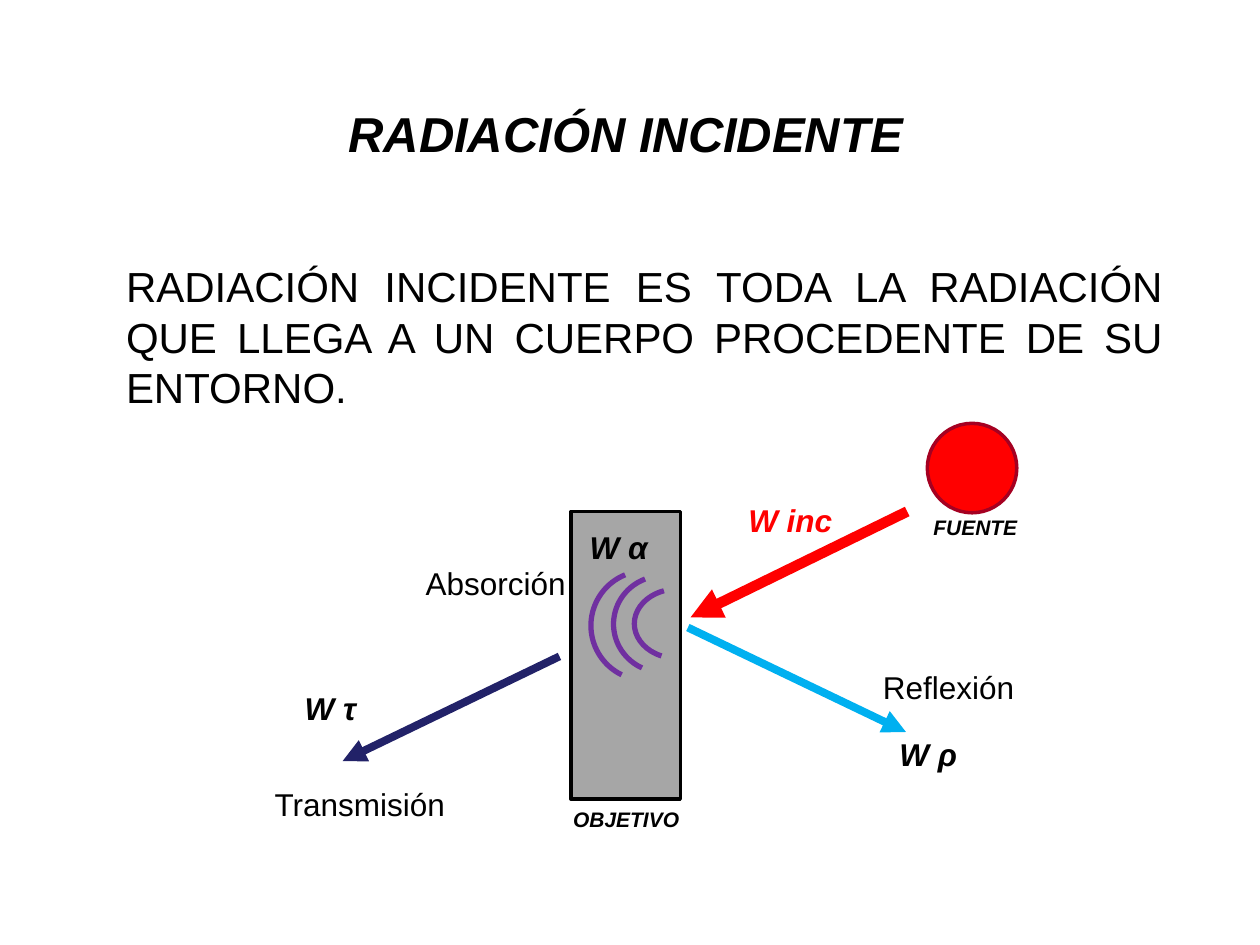
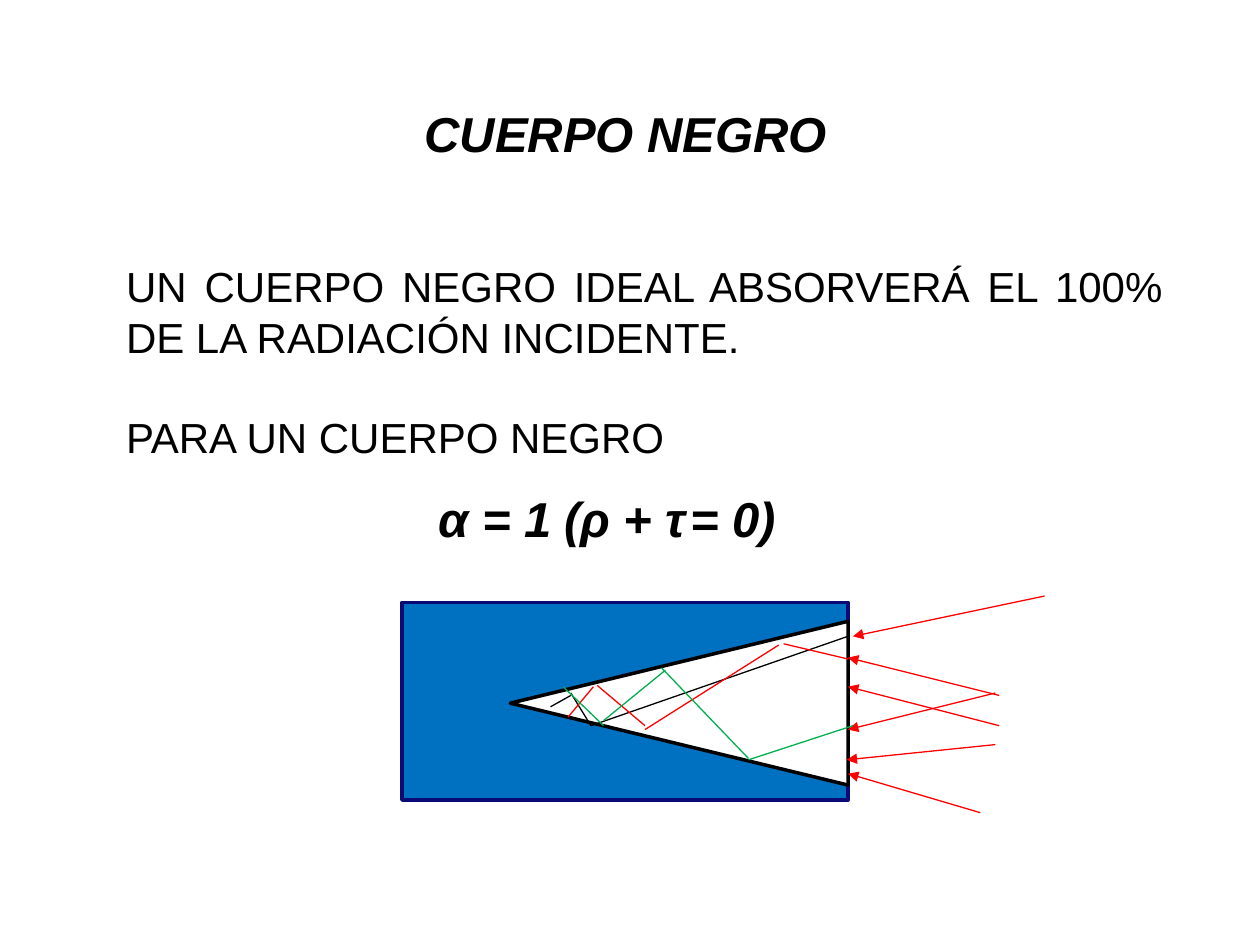
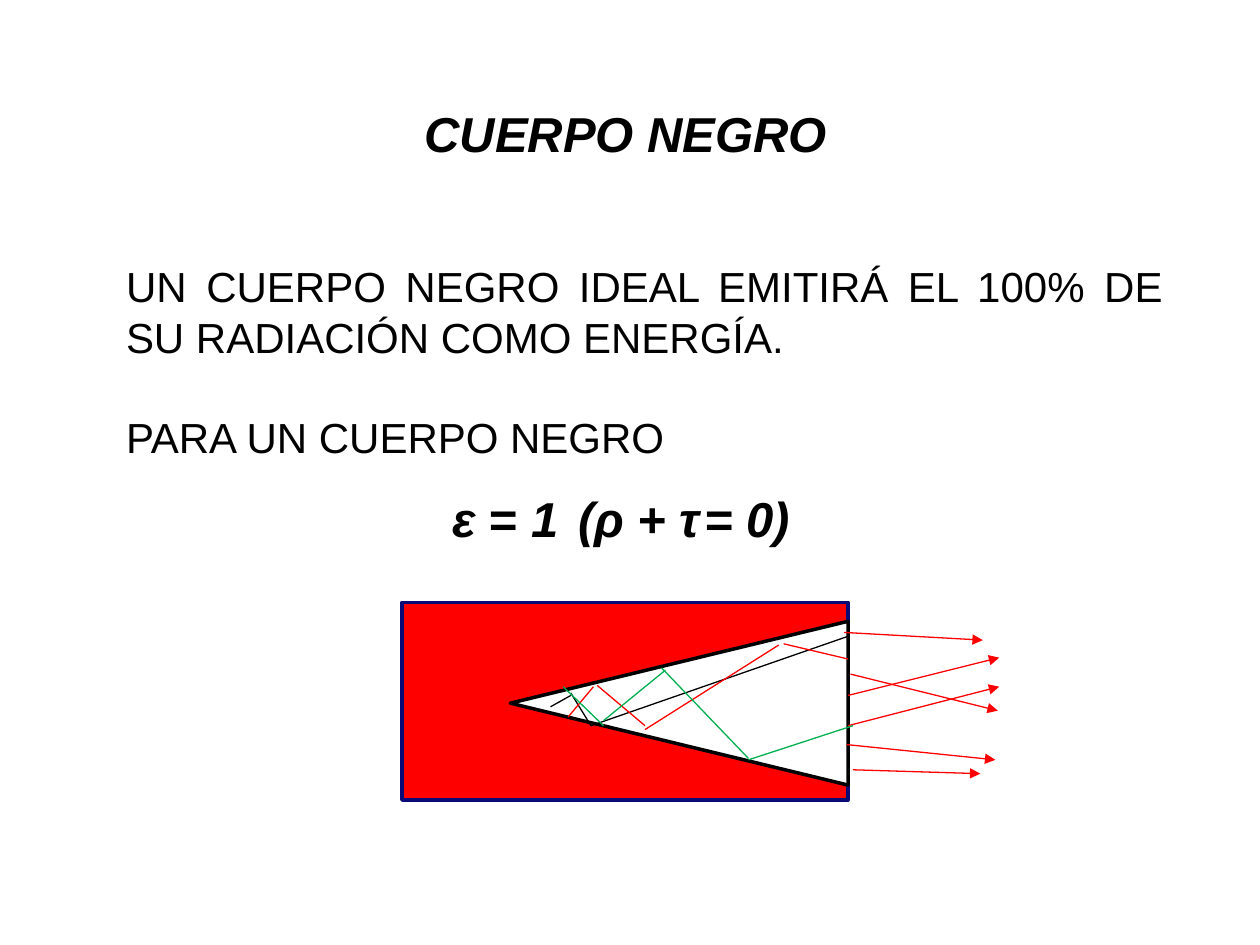
import pptx
import pptx.util
import pptx.dml.color
import pptx.enum.shapes
import pptx.enum.text
import pptx.oxml.ns
import lxml.etree

Pt = pptx.util.Pt
SHAPES = pptx.enum.shapes.MSO_SHAPE
ALIGN = pptx.enum.text.PP_ALIGN
qn = pptx.oxml.ns.qn

FONT = "Arial"
COLORS = {
    "black": "000000", "white": "FFFFFF", "gray": "A6A6A6", "red": "FF0000",
    "dark red": "A50021", "navy": "222268", "sky": "00B0F0", "purple": "7030A0",
    "blue": "0070C0", "frame": "0A0A76", "green": "00B050",
}
COLORS = {name: pptx.dml.color.RGBColor.from_string(value) for name, value in COLORS.items()}


def write(box, area, texts, size, strong=False, color="black", align=ALIGN.LEFT, tabs=()):
    """Place a text holder and fill it, one paragraph per text."""
    box.left, box.top, box.width, box.height = map(Pt, area)
    frame = box.text_frame
    frame.word_wrap = True
    frame.auto_size = pptx.enum.text.MSO_AUTO_SIZE.NONE
    frame.vertical_anchor = pptx.enum.text.MSO_ANCHOR.TOP
    frame.text = "\n".join(texts)
    for index, para in enumerate(frame.paragraphs):
        properties = para._p.get_or_add_pPr()
        properties.set("marL", "0")
        properties.set("indent", "0")
        para.alignment = align
        para.line_spacing = Pt(1.2 * size)
        para.space_before = Pt(1.2 * size if index else 0)
        lxml.etree.SubElement(properties, qn("a:buNone"))
        if tabs:
            stops = lxml.etree.SubElement(properties, qn("a:tabLst"))
            for position in tabs:
                lxml.etree.SubElement(stops, qn("a:tab"), pos=str(int(Pt(position))), algn="l")
        para.font.name = FONT
        para.font.size = Pt(size)
        para.font.bold = para.font.italic = strong
        para.font.color.rgb = COLORS[color]


def draw_line(page, ends, color, width=0.75, arrow=False):
    """Draw a straight line, with an arrowhead at its end if asked."""
    line = page.shapes.add_connector(pptx.enum.shapes.MSO_CONNECTOR.STRAIGHT, *map(Pt, ends))
    line.line.color.rgb = COLORS[color]
    line.line.width = Pt(width)
    if arrow:
        lxml.etree.SubElement(line.line._get_or_add_ln(), qn("a:tailEnd"), type="triangle")
    lxml.etree.SubElement(line._element.spPr, qn("a:effectLst"))


deck = pptx.Presentation()
deck.slide_width, deck.slide_height = Pt(720), Pt(540)

# Titles and body text of all slides
contents = [
    ("RADIACIÓN INCIDENTE",
     ["RADIACIÓN INCIDENTE ES TODA LA RADIACIÓN QUE LLEGA A UN CUERPO PROCEDENTE DE SU ENTORNO."]),
    ("CUERPO NEGRO",
     ["UN CUERPO NEGRO IDEAL ABSORVERÁ EL 100% DE LA RADIACIÓN INCIDENTE.",
      "PARA UN CUERPO NEGRO"]),
    ("CUERPO NEGRO",
     ["UN CUERPO NEGRO IDEAL EMITIRÁ EL 100% DE SU RADIACIÓN COMO ENERGÍA.",
      "PARA UN CUERPO NEGRO"]),
]
pages = []
for title, texts in contents:
    page = deck.slides.add_slide(deck.slide_layouts[1])
    write(page.shapes.title, (54, 55.4, 607, 41), [title], 28, True, align=ALIGN.CENTER)
    body_height = 93.6 if len(texts) == 1 else 180
    write(page.placeholders[1], (64.8, 145.4, 607, body_height), texts, 24, align=ALIGN.JUSTIFY)
    pages.append(page)

# Incident radiation: target and source
page = pages[0]
for kind, area, fill, outline in [
    (SHAPES.RECTANGLE, (326.2, 292.3, 62.6, 164.2), "gray", "black"),
    (SHAPES.OVAL, (529.9, 241.9, 51.1, 51.1), "red", "dark red"),
]:
    shape = page.shapes.add_shape(kind, *map(Pt, area))
    shape.shadow.inherit = False
    shape.fill.solid()
    shape.fill.fore_color.rgb = COLORS[fill]
    shape.line.color.rgb = COLORS[outline]
    shape.line.width = Pt(2)

# Incident, transmitted and reflected rays
draw_line(page, (518.4, 292.3, 394.6, 352.8), "red", 6, True)
draw_line(page, (319.7, 375.1, 195.8, 434.9), "navy", 4.5, True)
draw_line(page, (393.1, 358.6, 517.7, 418.3), "sky", 4.5, True)

# Absorption waves, all open to the right between the same angles
for area in [(362.5, 336.6, 49, 39.6), (350.6, 329, 56.9, 55.4), (337.7, 326.2, 62.6, 62.6)]:
    wave = page.shapes.add_shape(SHAPES.ARC, *map(Pt, area))
    for index, degrees in enumerate((116, 248)):
        wave.adjustments[index] = degrees * 0.6
    wave.shadow.inherit = False
    wave.fill.background()
    wave.line.color.rgb = COLORS["purple"]
    wave.line.width = Pt(3)

# Labels: text, left, top, width, size, strong, colour
for text, left, top, width, size, strong, color in [
    ("OBJETIVO", 320.4, 457.2, 96.5, 12, True, "black"),
    ("FUENTE", 526.3, 290.2, 96.5, 12, True, "black"),
    ("W inc", 420.5, 283, 68.4, 18, True, "red"),
    ("W ρ", 506.9, 416.2, 68.4, 18, True, "black"),
    ("W τ", 167, 390.2, 68.4, 18, True, "black"),
    ("W α", 329.8, 298.1, 68.4, 18, True, "black"),
    ("Absorción", 236.2, 319, 95.8, 18, False, "black"),
    ("Transmisión", 149.8, 445, 125.3, 18, False, "black"),
    ("Reflexión", 497.5, 378, 125.3, 18, False, "black"),
]:
    area = (left, top, width, 1.2 * size + 7.2)
    write(page.shapes.add_textbox(0, 0, 0, 0), area, [text], size, strong, color)

# Black body: rays reflected inside the cavity
cavity_rays = {
    "black": [(484.6, 363.6, 337.7, 414.7), (337.7, 414.7, 326.2, 396),
              (326.2, 397.4, 314.6, 403.9)],
    "red": [(484.6, 376.6, 447.8, 367.9), (445, 368.6, 368.6, 416.9),
            (368.6, 414.7, 341.3, 391.7), (339.1, 392.4, 324.7, 409.7)],
    "green": [(487.4, 414.7, 427.7, 434.2), (427.7, 433.4, 378, 381.6),
              (380.2, 383, 344.9, 411.8), (344.9, 414.7, 321.8, 392.4)],
}
absorbed_rays = [
    (596.9, 340.6, 487.4, 363.6), (571, 397.4, 484.6, 375.8), (571, 414.7, 484.6, 392.4),
    (568.8, 396, 484.6, 416.9), (568.8, 425.5, 483.8, 434.2), (560.2, 464.4, 484.6, 442.1),
]
emitted_rays = [
    (482.4, 361.4, 561.6, 365.8), (484.6, 397.4, 571, 375.8), (484.6, 414.7, 571, 392.4),
    (486, 385.2, 570.2, 406.1), (483.8, 425.5, 568.8, 434.2), (487.4, 439.9, 560.2, 442.1),
]
for page, symbol, left, tabs, body_color, outer_rays in [
    (pages[1], "α", 243.4, (95, 181), "blue", absorbed_rays),
    (pages[2], "ε", 251.2, (91.2, 177.2), "red", emitted_rays),
]:
    # Formula
    write(page.shapes.add_textbox(0, 0, 0, 0), (left, 275.8, 250.6, 41),
          [f"{symbol} = 1\t(ρ + τ\t= 0)"], 28, True, tabs=tabs)

    # Body and its cavity, a triangle turned to point left
    for kind, area, turn, fill, outline in [
        (SHAPES.RECTANGLE, (229.7, 344.2, 254.9, 113), 0, body_color, "frame"),
        (SHAPES.ISOSCELES_TRIANGLE, (341.3, 305.3, 93.6, 193), 270, "white", "black"),
    ]:
        shape = page.shapes.add_shape(kind, *map(Pt, area))
        shape.rotation = turn
        shape.shadow.inherit = False
        shape.fill.solid()
        shape.fill.fore_color.rgb = COLORS[fill]
        shape.line.color.rgb = COLORS[outline]
        shape.line.width = Pt(2)

    # Rays outside and inside
    for ray in outer_rays:
        draw_line(page, ray, "red", arrow=True)
    for color, rays in cavity_rays.items():
        for ray in rays:
            draw_line(page, ray, color)

deck.save("out.pptx")
